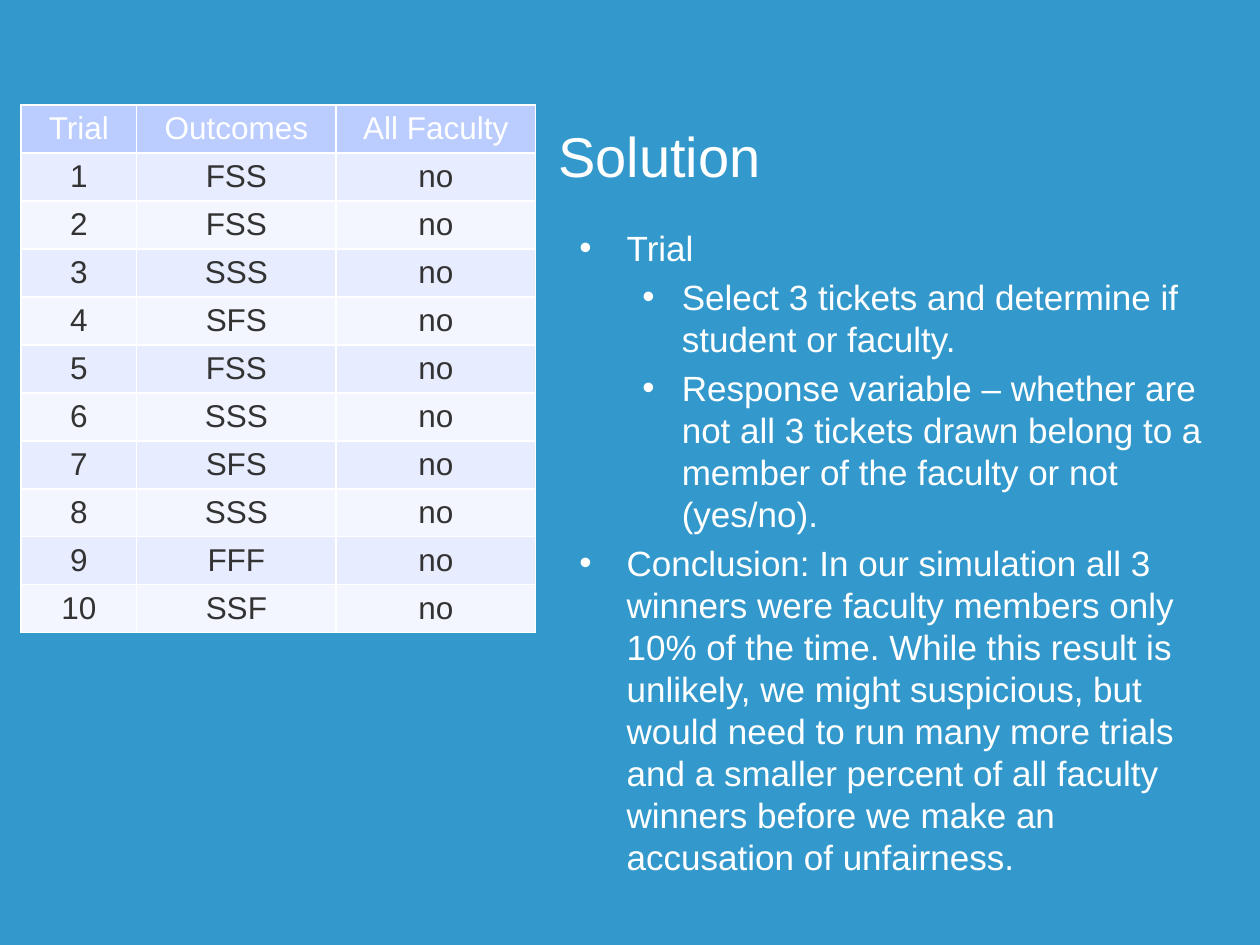
from lxml import etree
from pptx import Presentation
from pptx.dml.color import RGBColor
from pptx.enum.text import MSO_ANCHOR, PP_ALIGN
from pptx.oxml.ns import qn
from pptx.util import Pt

BOTTOM = MSO_ANCHOR.BOTTOM
CENTER = PP_ALIGN.CENTER
FONT = "Arial"
COLORS = {
    "background": "3399CC",
    "light": "FFFFFF",
    "dark": "333333",
    "header": "BBCCFF",
    "odd": "E7ECFF",
    "even": "F3F6FF",
}
OUTCOMES = ["FSS", "FSS", "SSS", "SFS", "FSS", "SSS", "SFS", "SSS", "FFF", "SSF"]
TRIALS = [("Trial", "Outcomes", "All Faculty")] + [
    (str(number), outcome, "no") for number, outcome in enumerate(OUTCOMES, 1)
]
COLUMN_SHARES = (0.225, 0.3875, 0.3875)
INDENTS = [(27, -27), (58.5, -22.5)]
EXPLANATION = [
    (0, "Trial"),
    (1, "Select 3 tickets and determine if student or faculty."),
    (1, "Response variable – whether are not all 3 tickets drawn belong to a "
        "member of the faculty or not (yes/no)."),
    (0, "Conclusion: In our simulation all 3 winners were faculty members only "
        "10% of the time. While this result is unlikely, we might suspicious, but "
        "would need to run many more trials and a smaller percent of all faculty "
        "winners before we make an accusation of unfairness."),
]


def rgb(color):
    return RGBColor.from_string(COLORS[color])


def apply_format(target, values):
    for attribute, value in values.items():
        setattr(target, attribute, value)


def write(paragraph, text, size, color):
    run = paragraph.add_run()
    run.text = text
    apply_format(run.font, {"name": FONT, "size": Pt(size), "bold": False})
    run.font.color.rgb = rgb(color)


def add_bullet(paragraph, level):
    margin, indent = INDENTS[level]
    properties = paragraph._p.get_or_add_pPr()
    properties.set("marL", str(Pt(margin)))
    properties.set("indent", str(Pt(indent)))
    bullet_color = etree.SubElement(properties, qn("a:buClr"))
    etree.SubElement(bullet_color, qn("a:srgbClr"), val=COLORS["light"])
    etree.SubElement(properties, qn("a:buFont"), typeface=FONT)
    etree.SubElement(properties, qn("a:buChar"), char="•")


def add_borders(cell):
    properties = cell._tc.get_or_add_tcPr()
    for side in "LRTB":
        line = etree.SubElement(properties, qn(f"a:ln{side}"), w=str(Pt(1)))
        fill = etree.SubElement(line, qn("a:solidFill"))
        etree.SubElement(fill, qn("a:srgbClr"), val=COLORS["light"])


def add_text_frame(slide, box):
    frame = slide.shapes.add_textbox(*(Pt(length) for length in box)).text_frame
    frame.word_wrap = True
    return frame


def add_title(slide, box):
    frame = add_text_frame(slide, box)
    frame.vertical_anchor = BOTTOM
    write(frame.paragraphs[0], "Solution", 32, "light")


def add_explanation(slide, box):
    frame = add_text_frame(slide, box)
    for index, (level, text) in enumerate(EXPLANATION):
        paragraph = frame.add_paragraph() if index else frame.paragraphs[0]
        apply_format(paragraph, {
            "level": level, "line_spacing": 1.0, "space_before": Pt(4),
        })
        add_bullet(paragraph, level)
        write(paragraph, text, 20, "light")


def add_trials(slide, box):
    left, top, width, height = box
    table = slide.shapes.add_table(
        len(TRIALS), len(COLUMN_SHARES), Pt(left), Pt(top), Pt(width), Pt(height)
    ).table
    apply_format(table, {"first_row": False, "horz_banding": False})
    for column, share in zip(table.columns, COLUMN_SHARES):
        column.width = Pt(width * share)
    for index, values in enumerate(TRIALS):
        table.rows[index].height = Pt(height / len(TRIALS))
        band = "header" if index == 0 else ("even", "odd")[index % 2]
        for column, text in enumerate(values):
            cell = table.cell(index, column)
            apply_format(cell, {"margin_top": Pt(3.6), "margin_bottom": Pt(2)})
            add_borders(cell)
            cell.fill.solid()
            cell.fill.fore_color.rgb = rgb(band)
            paragraph = cell.text_frame.paragraphs[0]
            paragraph.alignment = CENTER
            write(paragraph, text, 18, "dark" if index else "light")


def main():
    presentation = Presentation()
    apply_format(presentation, {"slide_width": Pt(720), "slide_height": Pt(540)})
    slide = presentation.slides.add_slide(presentation.slide_layouts[6])
    slide.background.fill.solid()
    slide.background.fill.fore_color.rgb = rgb("background")
    add_title(slide, (312, 21.6, 398, 90))
    add_explanation(slide, (324, 126, 386, 356.4))
    add_trials(slide, (12, 60, 294, 301.6))
    presentation.save("out.pptx")


if __name__ == "__main__":
    main()
